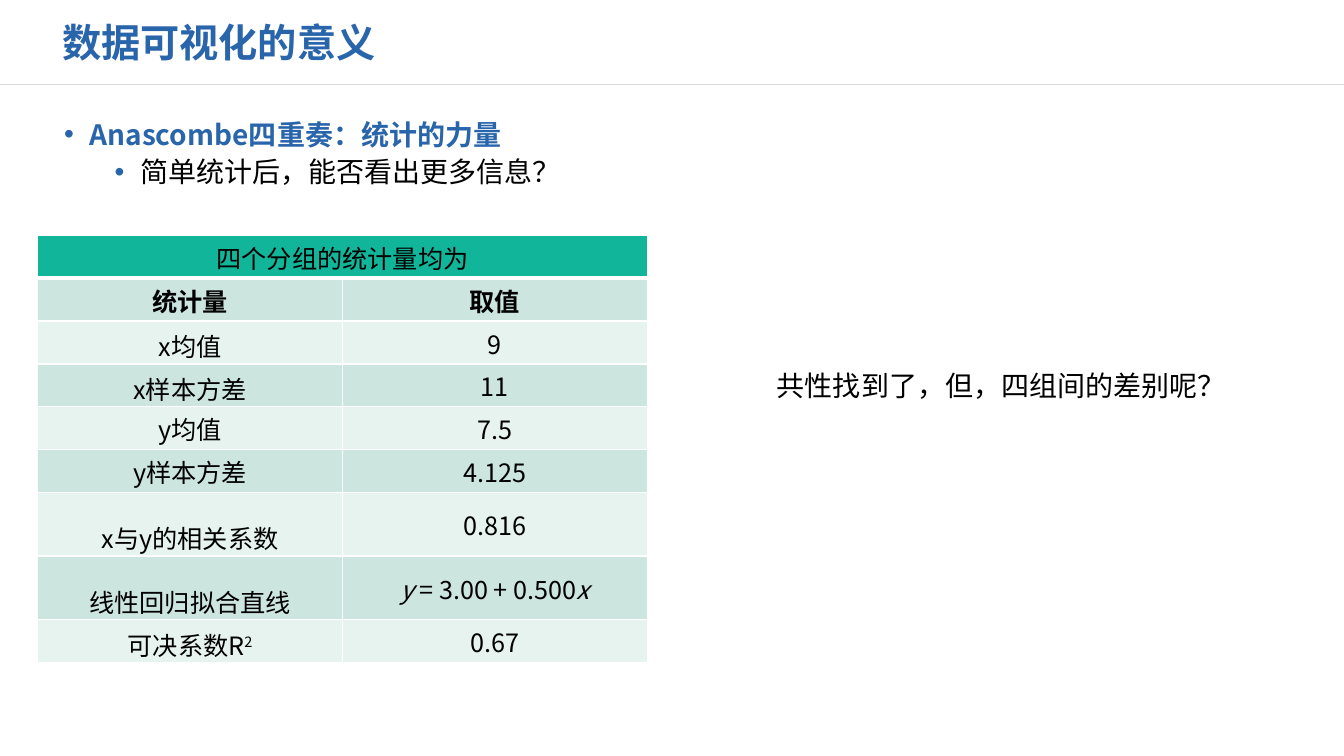
"""Build the slide on why data visualisation matters, with a table of shared statistics."""
import pptx
import pptx.dml.color
import pptx.enum.shapes
import pptx.enum.text
import pptx.oxml
import pptx.oxml.ns
import pptx.util
from pptx.util import Cm

TITLE = "数据可视化的意义"
BULLETS = ["Anascombe四重奏：统计的力量", "简单统计后，能否看出更多信息？"]
QUESTION = "共性找到了，但，四组间的差别呢？"
TABLE_TITLE = "四个分组的统计量均为"
STATISTICS = [
    ("统计量", "取值"),
    ("x均值", "9"),
    ("x样本方差", "11"),
    ("y均值", "7.5"),
    ("y样本方差", "4.125"),
    ("x与y的相关系数", "0.816"),
    ("线性回归拟合直线", [("y", "italic"), (" = 3.00 + 0.500", ""), ("x", "italic")]),
    ([("可决系数R", ""), ("2", "super")], "0.67"),
]
TALL_ROWS = (6, 7)
BOTTOM_LABELS = (2, 3, 6, 7, 8)

THEME = {
    "font": "Noto Sans CJK SC",
    "blue": "2965AB", "black": "000000", "white": "FFFFFF", "rule": "D9D9D9",
    "header": "11B59A", "bands": ("E7F3EF", "CCE5DE"),
    "title": 28, "body": 20, "table": 18,
}
SLIDE_W, SLIDE_H = Cm(33.87), Cm(19.05)
RULE_Y = Cm(2.13)
COL_W, ROW_H, TALL_H = Cm(7.68), Cm(1.08), Cm(1.6)
ANCHOR = pptx.enum.text.MSO_ANCHOR


def rgb(name):
    return pptx.dml.color.RGBColor.from_string(THEME.get(name, name))


def xml(body):
    return pptx.oxml.parse_xml(body.replace(" ", f" {pptx.oxml.ns.nsdecls('a')} ", 1))


def format_run(r, size, color, bold=False, style=""):
    r.font.size = pptx.util.Pt(THEME[size])
    r.font.bold = bold
    r.font.italic = style == "italic"
    r.font.color.rgb = rgb(color)
    r.font.name = THEME["font"]
    props = r._r.get_or_add_rPr()
    props.append(xml(f'<a:ea typeface="{THEME["font"]}"/>'))
    if style == "super":
        props.set("baseline", "30000")


def add_text(s, box, lines, size, color, bold=False, anchor=ANCHOR.TOP):
    tf = s.shapes.add_textbox(*map(Cm, box)).text_frame
    tf.word_wrap = True
    tf.vertical_anchor = anchor
    tf.text = "\n".join(lines)
    for p in tf.paragraphs:
        format_run(p.runs[0], size, color, bold)
    return tf


def add_bullets(s):
    tf = add_text(s, (1.37, 2.92, 27.99, 13.59), BULLETS, "body", "black")
    for level, p in enumerate(tf.paragraphs):
        props = p._p.get_or_add_pPr()
        props.set("marL", str(Cm(0.64 + 1.27 * level)))
        props.set("indent", str(-Cm(0.64)))
        props.append(xml(f'<a:buClr ><a:srgbClr val="{THEME["blue"]}"/></a:buClr>'))
        props.append(xml('<a:buFont typeface="Arial"/>'))
        props.append(xml('<a:buChar char="•"/>'))
        p.level = level
        p.line_spacing = 0.9
        p.space_before = pptx.util.Pt(5 * level)
    format_run(tf.paragraphs[0].runs[0], "body", "blue", bold=True)


def set_borders(cell, row):
    widths = {"L": 1, "R": 1, "T": 3 if row == 1 else 1, "B": 3 if row == 0 else 1}
    props = cell._tc.get_or_add_tcPr()
    for i, (side, width) in enumerate(widths.items()):
        props.insert(i, xml(
            f'<a:ln{side} w="{pptx.util.Pt(width)}"><a:solidFill>'
            f'<a:srgbClr val="{THEME["white"]}"/></a:solidFill></a:ln{side}>'))


def fill_cell(cell, row, col, content):
    cell.fill.solid()
    cell.fill.fore_color.rgb = rgb("header" if row == 0 else THEME["bands"][row % 2])
    cell.margin_left = cell.margin_right = cell.margin_top = Cm(0.03)
    cell.margin_bottom = 0
    at_bottom = col == 0 and row in BOTTOM_LABELS
    cell.vertical_anchor = ANCHOR.BOTTOM if at_bottom else ANCHOR.MIDDLE
    set_borders(cell, row)
    p = cell.text_frame.paragraphs[0]
    p.alignment = pptx.enum.text.PP_ALIGN.CENTER
    for text, style in [(content, "")] if isinstance(content, str) else content:
        r = p.add_run()
        r.text = text
        format_run(r, "table", "black", row == 1, style)


def add_statistics(s):
    rows = [(TABLE_TITLE, [])] + STATISTICS
    heights = [TALL_H if i in TALL_ROWS else ROW_H for i in range(len(rows))]
    table = s.shapes.add_table(
        len(rows), 2, Cm(0.95), Cm(5.93), 2 * COL_W, sum(heights)).table
    table.first_row = table.horz_banding = False
    for column in table.columns:
        column.width = COL_W
    for i, (values, height) in enumerate(zip(rows, heights)):
        table.rows[i].height = height
        for j, content in enumerate(values):
            fill_cell(table.cell(i, j), i, j, content)
    table.cell(0, 0).merge(table.cell(0, 1))


def main():
    prs = pptx.Presentation()
    prs.slide_width, prs.slide_height = SLIDE_W, SLIDE_H
    s = prs.slides.add_slide(prs.slide_layouts[6])
    rule = s.shapes.add_connector(
        pptx.enum.shapes.MSO_CONNECTOR.STRAIGHT, 0, RULE_Y, SLIDE_W, RULE_Y)
    rule.line.color.rgb = rgb("rule")
    rule.line.width = pptx.util.Pt(1)
    rule._element.spPr.append(xml("<a:effectLst />"))
    add_text(s, (1.32, 0.33, 13.51, 1.47), [TITLE], "title", "blue", True, ANCHOR.MIDDLE)
    add_bullets(s)
    add_statistics(s)
    add_text(s, (19.33, 9.17, 12.4, 1.12), [QUESTION], "body", "black")
    prs.save("out.pptx")


if __name__ == "__main__":
    main()
